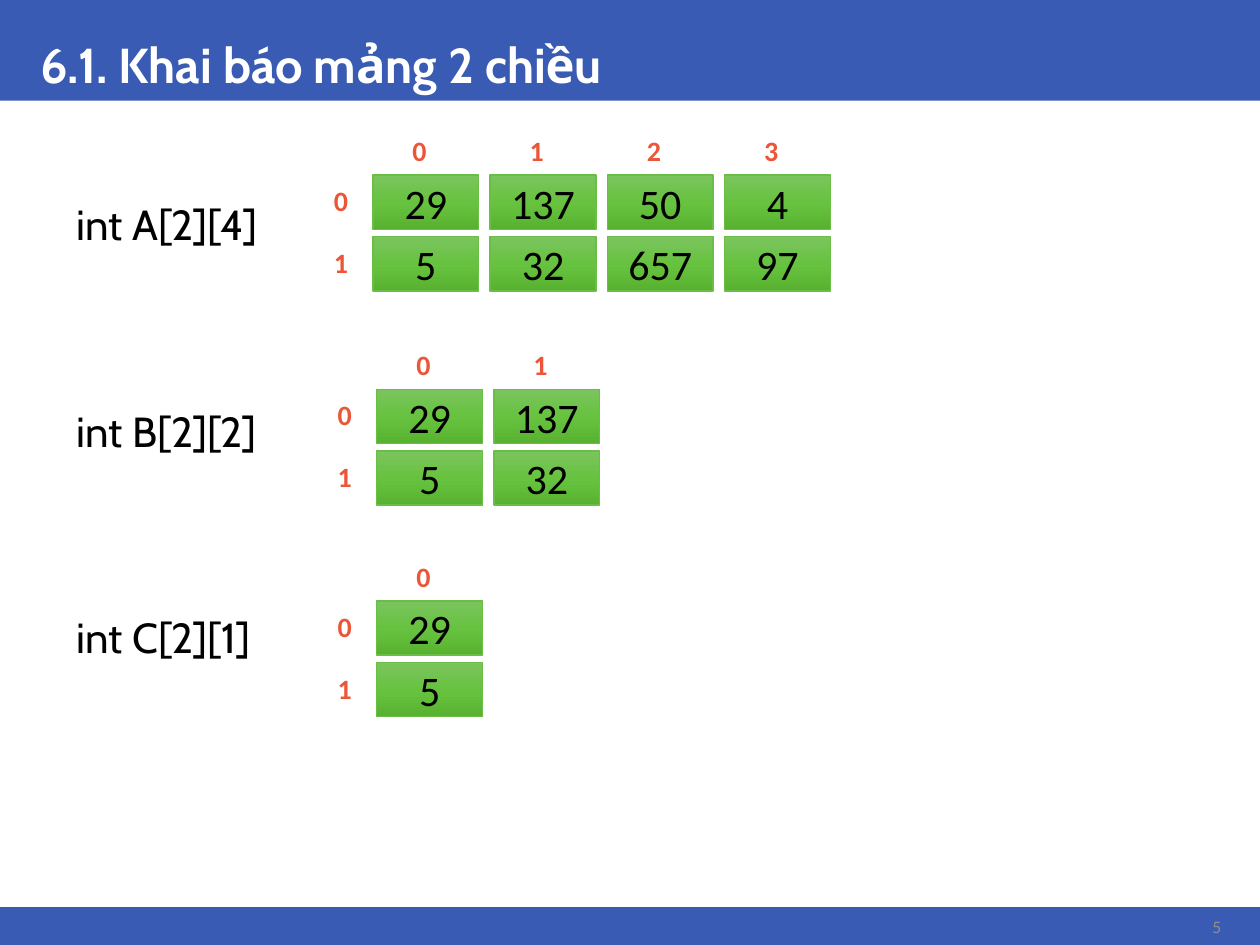
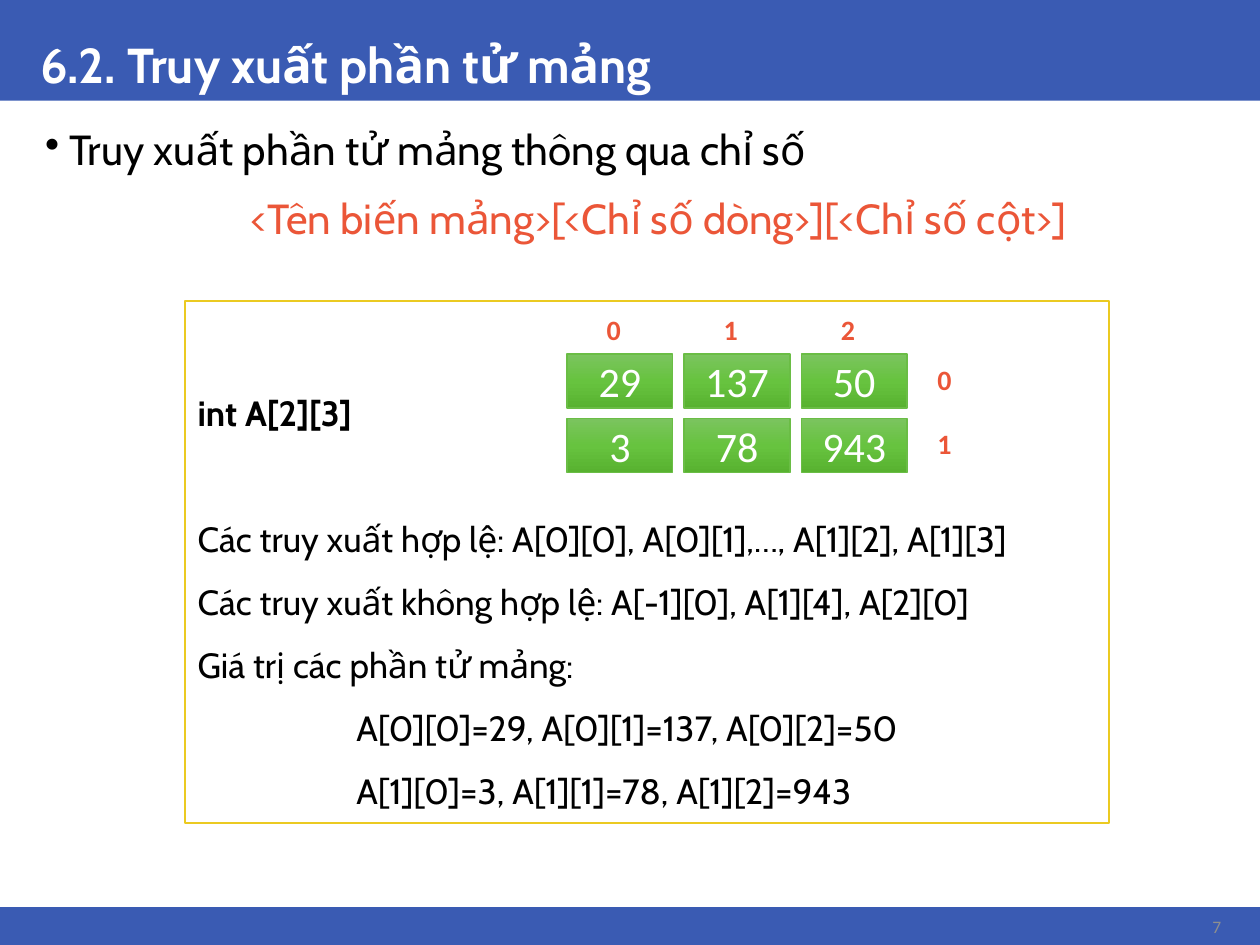
from copy import deepcopy

from lxml import etree
from pptx import Presentation
from pptx.dml.color import RGBColor
from pptx.enum import shapes, text
from pptx.oxml import ns
from pptx.util import Inches, Pt

BLUE = RGBColor(0x3A, 0x5B, 0xB3)
WHITE = RGBColor(0xFF, 0xFF, 0xFF)
BLACK = RGBColor(0, 0, 0)
ORANGE = RGBColor(0xEB, 0x56, 0x38)
GREY = RGBColor(0x8E, 0x8F, 0x8F)
YELLOW = RGBColor(0xEB, 0xCA, 0x21)
GREEN_LINE = RGBColor(0x6A, 0xBD, 0x45)
GREEN_STOPS = [(0, RGBColor(0x7B, 0xC4, 0x5F)),
               (0.5, RGBColor(0x67, 0xC3, 0x3F)),
               (1, RGBColor(0x58, 0xB2, 0x30))]

HEADING_FONT, NUMBER_FONT = "Cabin", "Calibri"
LEFT, CENTER, RIGHT = (text.PP_ALIGN.LEFT, text.PP_ALIGN.CENTER,
                       text.PP_ALIGN.RIGHT)
TOP, MIDDLE, BOTTOM = (text.MSO_ANCHOR.TOP, text.MSO_ANCHOR.MIDDLE,
                       text.MSO_ANCHOR.BOTTOM)

CELL_WIDTH, CELL_HEIGHT, COLUMN_STEP = 0.84, 0.43, 0.93


def write(box, words, size=24, font=HEADING_FONT, color=BLACK, bold=False,
          align=LEFT, anchor=TOP, spacing=None, before=0, margin=0, hanging=0,
          bullet=None):
    """Add one paragraph to a shape and return it."""
    frame = box.text_frame
    frame.word_wrap = True
    frame.vertical_anchor = anchor
    para = frame.add_paragraph() if frame.text else frame.paragraphs[0]
    para.alignment = align
    para.space_before = Pt(before)
    if spacing:
        para.line_spacing = spacing
    properties = para._p.get_or_add_pPr()
    properties.set("marL", str(Inches(margin)))
    properties.set("indent", str(Inches(-hanging)))
    if bullet:
        mark = etree.SubElement(properties, ns.qn("a:buChar"))
        mark.set("char", bullet)
    span = para.add_run()
    span.text = words
    span.font.size, span.font.name = Pt(size), font
    span.font.bold, span.font.color.rgb = bold, color
    return para


def add_text_box(page, left, top, width, height):
    return page.shapes.add_textbox(*map(Inches, (left, top, width, height)))


def add_rectangle(page, left, top, width, height, fill=WHITE, line=None,
                  line_width=0.75):
    box = page.shapes.add_shape(shapes.MSO_SHAPE.RECTANGLE,
                                *map(Inches, (left, top, width, height)))
    box.shadow.inherit = False
    if fill:
        box.fill.solid()
        box.fill.fore_color.rgb = fill
    if line:
        box.line.color.rgb = line
        box.line.width = Pt(line_width)
    else:
        box.line.fill.background()
    return box


def fill_green(box):
    """Vertical gradient with three stops."""
    box.fill.gradient()
    box.fill.gradient_angle = 270
    stop_list = box.element.spPr.find(".//" + ns.qn("a:gsLst"))
    stop_list.append(deepcopy(stop_list[0]))
    for stop, (position, color) in zip(box.fill.gradient_stops, GREEN_STOPS):
        stop.position = position
        stop.color.rgb = color


def add_page(deck, title, number):
    page = deck.slides.add_slide(deck.slide_layouts[6])
    # Bands
    add_rectangle(page, 0, 0, 10, 0.8, fill=BLUE)
    add_rectangle(page, 0, 7.2, 10, 0.3, fill=BLUE)
    # Title and page number
    write(add_text_box(page, 0.22, 0, 9.57, 0.8), title, size=28, color=WHITE,
          bold=True, anchor=BOTTOM, spacing=0.9)
    write(add_text_box(page, 9.26, 7.22, 0.53, 0.26), str(number), size=10,
          font=NUMBER_FONT, color=GREY, align=RIGHT, anchor=MIDDLE)
    return page


def add_index(page, index, left, top, width, height):
    write(add_rectangle(page, left, top, width, height), str(index), size=16,
          font=NUMBER_FONT, color=ORANGE, bold=True, align=CENTER,
          anchor=MIDDLE)


def add_array(page, left, top, rows, color=BLACK, row_step=0.49,
              index_offset=-0.46):
    """Draw a two-dimensional array with its column and row indexes."""
    for column in range(len(rows[0])):
        add_index(page, column, left - 0.05 + column * COLUMN_STEP,
                  top - 0.27, CELL_WIDTH, 0.15)
    for row, values in enumerate(rows):
        row_top = top + row * row_step
        add_index(page, row, left + index_offset, row_top + 0.06, 0.41, 0.28)
        for column, value in enumerate(values):
            cell = add_rectangle(page, left + column * COLUMN_STEP, row_top,
                                 CELL_WIDTH, CELL_HEIGHT, fill=None,
                                 line=GREEN_LINE)
            fill_green(cell)
            write(cell, str(value), font=NUMBER_FONT, color=color,
                  align=CENTER, anchor=MIDDLE)


def add_declarations(deck):
    page = add_page(deck, "6.1. Khai báo mảng 2 chiều", 5)
    arrays = [
        ("int A[2][4]", 2.96, 1.39, [[29, 137, 50, 4], [5, 32, 657, 97]]),
        ("int B[2][2]", 2.99, 3.09, [[29, 137], [5, 32]]),
        ("int C[2][1]", 2.99, 4.77, [[29], [5]]),
    ]
    for order, (declaration, left, top, rows) in enumerate(arrays):
        label = add_text_box(page, 0.51, 1.55 + order * 1.64, 1.9, 0.5)
        write(label, declaration, anchor=MIDDLE, spacing=0.9)
        add_array(page, left, top, rows)


def add_example(page, left, top, width, height):
    """Framed example: an array and the ways to reach its elements."""
    add_rectangle(page, left, top, width, height, line=YELLOW, line_width=1)
    write(add_text_box(page, left, top + 0.5, 2.5, 0.45), "int A[2][3]",
          size=20, bold=True, spacing=1.5)
    add_array(page, left + 3.03, top + 0.42, [[29, 137, 50], [3, 78, 943]],
              color=WHITE, row_step=0.51, index_offset=2.79)
    notes = add_text_box(page, left, top + 1.5, width, height - 1.5)
    for words, margin in [
        ("Các truy xuất hợp lệ: A[0][0], A[0][1],…, A[1][2], A[1][3]", 0),
        ("Các truy xuất không hợp lệ: A[-1][0], A[1][4], A[2][0]", 0),
        ("Giá trị các phần tử mảng:", 0),
        ("A[0][0]=29, A[0][1]=137, A[0][2]=50", 1.26),
        ("A[1][0]=3, A[1][1]=78, A[1][2]=943", 1.26),
    ]:
        write(notes, words, size=20, spacing=1.5, margin=margin)


def add_element_access(deck):
    page = add_page(deck, "6.2. Truy xuất phần tử mảng", 7)
    # Syntax rule
    syntax = add_text_box(page, 0.22, 0.98, 9.78, 1.28)
    write(syntax, "Truy xuất phần tử mảng thông qua chỉ số", spacing=0.9,
          margin=0.23, hanging=0.19, bullet="•")
    write(syntax, "<Tên biến mảng>[<Chỉ số dòng>][<Chỉ số cột>]",
          color=ORANGE, align=CENTER, spacing=0.9, before=13.5, margin=0.23)
    add_example(page, 1.47, 2.39, 7.33, 4.14)


def main():
    deck = Presentation()
    deck.slide_width, deck.slide_height = Inches(10), Inches(7.5)
    add_declarations(deck)
    add_element_access(deck)
    deck.save("out.pptx")


if __name__ == "__main__":
    main()
